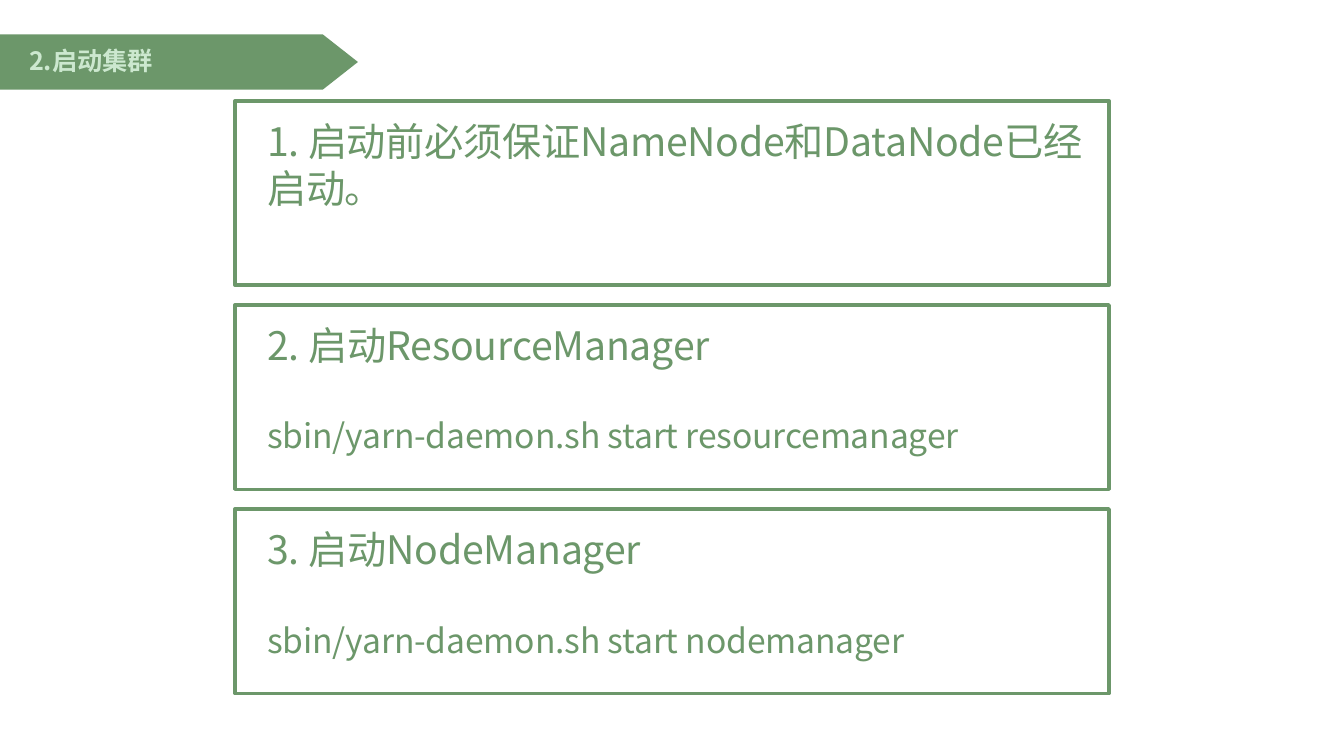
"""Build the slide on starting the YARN cluster."""
from pptx import Presentation
from pptx.dml.color import RGBColor
from pptx.enum.shapes import MSO_SHAPE
from pptx.enum.text import MSO_ANCHOR, PP_ALIGN
from pptx.oxml.ns import qn
from pptx.util import Inches, Pt

PENTAGON, RECTANGLE = MSO_SHAPE.PENTAGON, MSO_SHAPE.RECTANGLE
TOP, LEFT = MSO_ANCHOR.TOP, PP_ALIGN.LEFT
TITLE_ONLY = 5

SECTION = "2.启动集群"
STEPS = [
    ("1. 启动前必须保证NameNode和DataNode已经启动。",),
    ("2. 启动ResourceManager", "sbin/yarn-daemon.sh start resourcemanager"),
    ("3. 启动NodeManager", "sbin/yarn-daemon.sh start nodemanager"),
]

THEME = {
    "font": "Noto Sans CJK SC",
    "green": RGBColor(0x6C, 0x97, 0x6A),
    "pale": RGBColor(0xCC, 0xE8, 0xCF),
    "section": {"size": Pt(18), "bold": True},
    "step": {"size": Pt(28), "bold": False},
    "command": {"size": Pt(24), "bold": False},
    "border": Pt(2.5),
}
BANNER = {"left": 0, "top": 0.34, "width": 3.55, "height": 0.55}
ARROW_DEPTH = 0.35
STEP_BOX = {"left": 2.33, "top": 1, "width": 8.67, "height": 1.83}
STEP_PITCH = 2.025
COMMAND_GAP = Pt(33.8)


def place(shape, box):
    for name, value in box.items():
        setattr(shape, name, Inches(value))


def write(shape, lines, color, indent, inset, spacing):
    frame = shape.text_frame
    formats = {
        "margin_left": 0, "margin_top": Inches(inset), "margin_right": 0,
        "margin_bottom": 0, "word_wrap": True, "vertical_anchor": TOP,
    }
    for name, value in formats.items():
        setattr(frame, name, value)
    for index, (text, style) in enumerate(lines):
        para = frame.add_paragraph() if index else frame.paragraphs[0]
        para.alignment, para.line_spacing = LEFT, 1.0
        para.space_before = COMMAND_GAP if index else Pt(0)
        properties = para._p.get_or_add_pPr()
        properties.set("marL", str(Inches(indent)))
        properties.set("indent", "0")
        span = para.add_run()
        span.text = text
        for name, value in {**style, "name": THEME["font"]}.items():
            setattr(span.font, name, value)
        span.font.color.rgb = color
        run_properties = span._r.get_or_add_rPr()
        run_properties.set("spc", str(spacing))
        east_asian = run_properties.makeelement(qn("a:ea"), {"typeface": THEME["font"]})
        run_properties.find(qn("a:latin")).addnext(east_asian)


def add_banner(page):
    banner = page.shapes.add_shape(PENTAGON, 0, 0, 0, 0)
    place(banner, BANNER)
    banner.adjustments[0] = ARROW_DEPTH / BANNER["height"]
    banner.shadow.inherit = False
    banner.fill.solid()
    banner.fill.fore_color.rgb = THEME["green"]
    banner.line.fill.background()
    write(banner, [(SECTION, THEME["section"])], THEME["pale"], 0.29, 0.11, -10)


def add_step(page, index, texts):
    if index:
        box = page.shapes.add_shape(RECTANGLE, 0, 0, 0, 0)
        box.shadow.inherit = False
    else:
        box = page.shapes.title
    place(box, {**STEP_BOX, "top": STEP_BOX["top"] + index * STEP_PITCH})
    box.fill.background()
    box.line.color.rgb = THEME["green"]
    box.line.width = THEME["border"]
    lines = list(zip(texts, (THEME["step"], THEME["command"])))
    write(box, lines, THEME["green"], 0.32, 0.16, -10 if index else -20)


def main():
    deck = Presentation()
    deck.slide_width, deck.slide_height = Inches(13.33), Inches(7.5)
    page = deck.slides.add_slide(deck.slide_layouts[TITLE_ONLY])
    add_banner(page)
    for index, texts in enumerate(STEPS):
        add_step(page, index, texts)
    deck.save("out.pptx")


if __name__ == "__main__":
    main()
